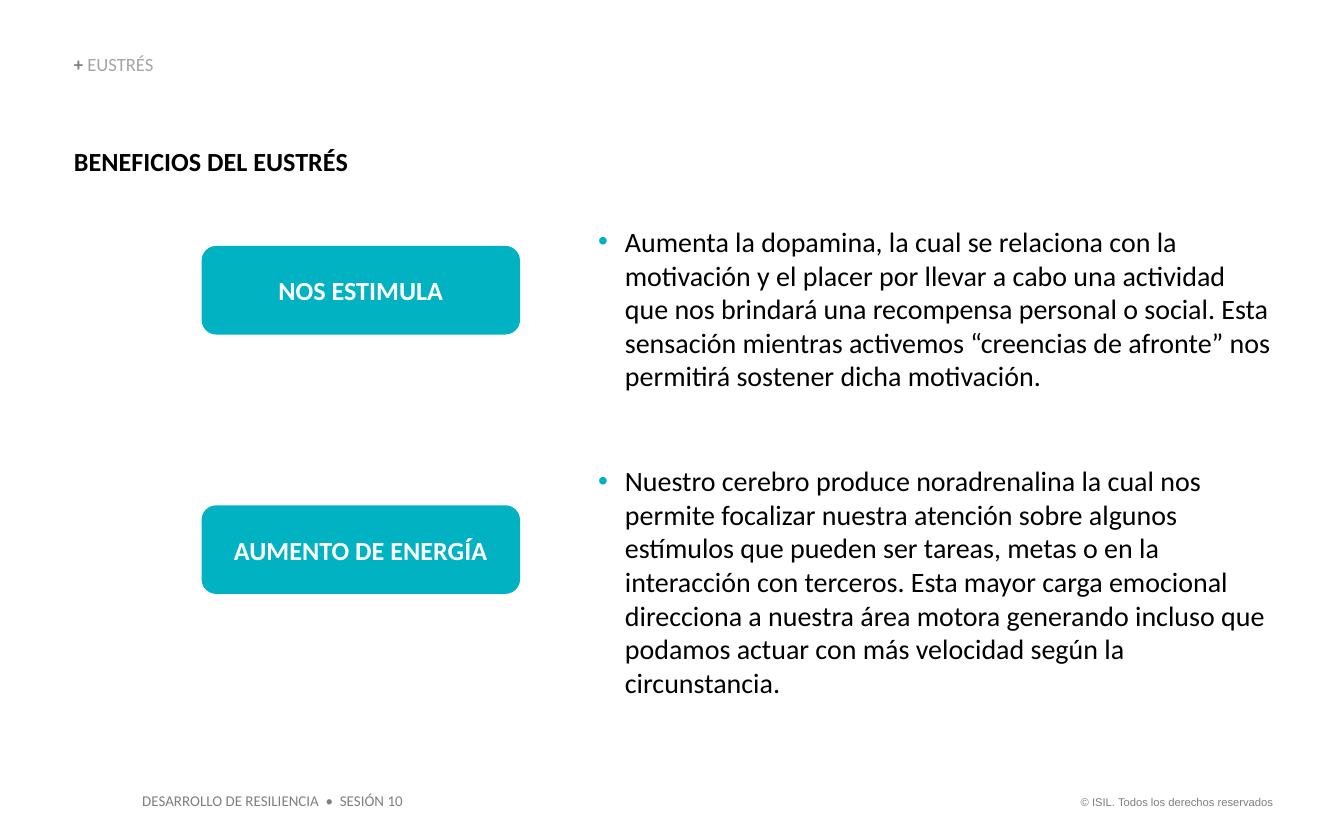
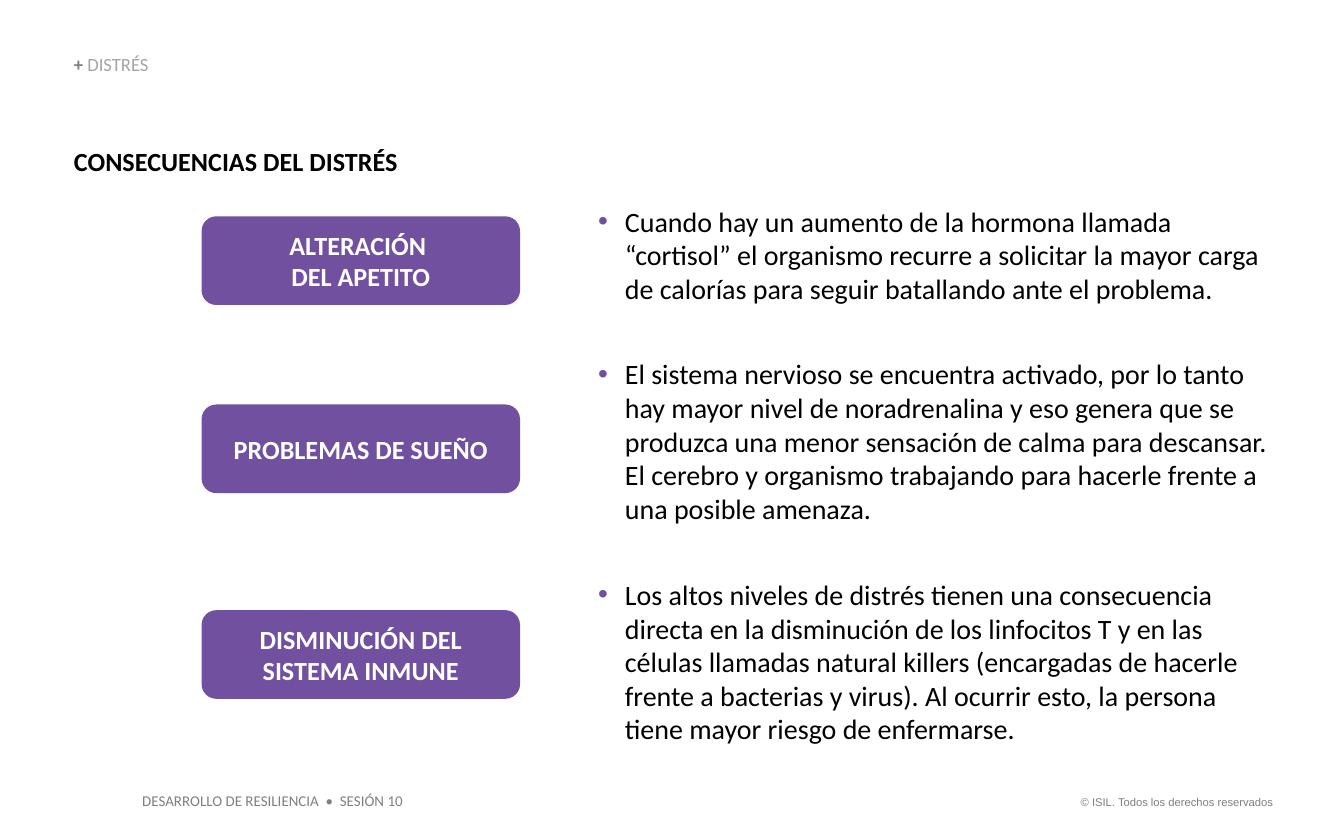
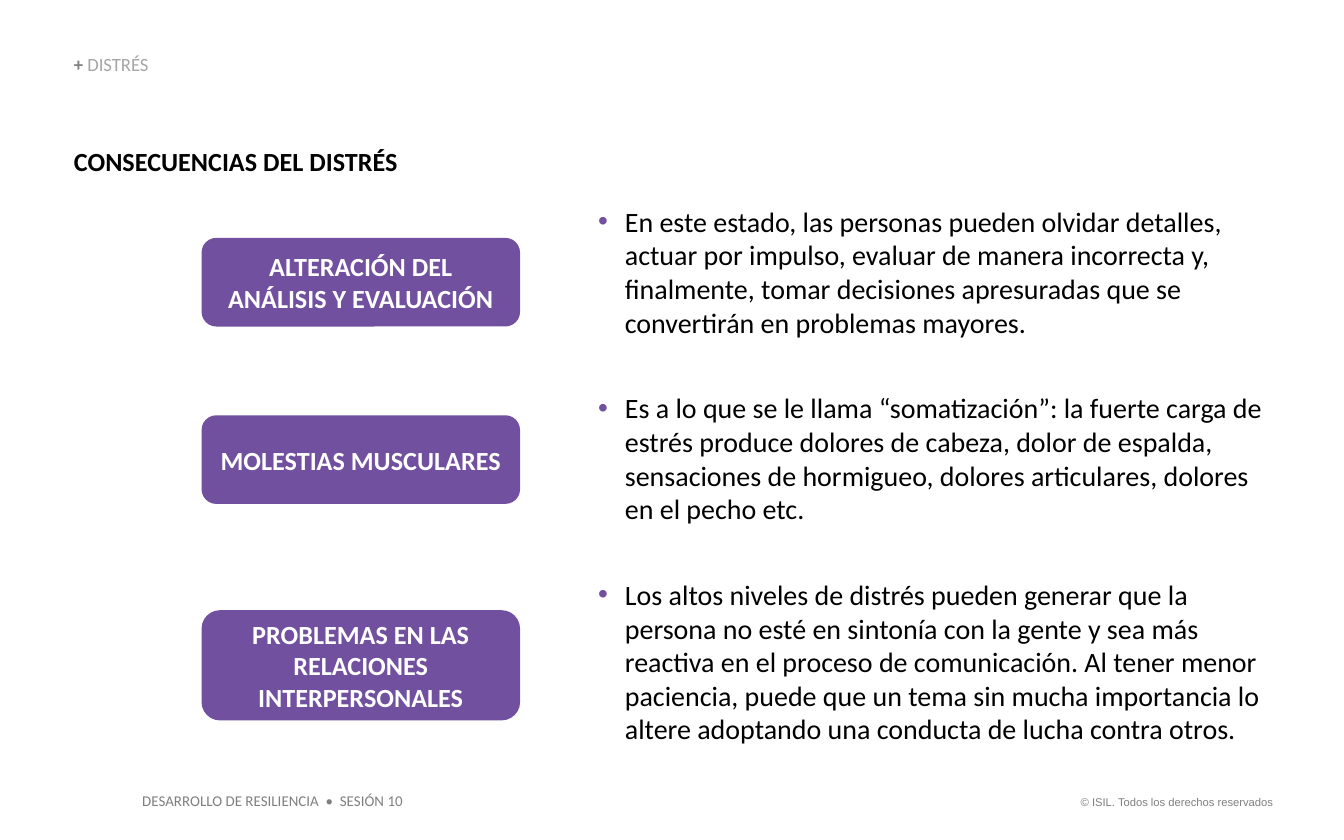
from pptx import Presentation
from pptx.dml.color import RGBColor
from pptx.enum.shapes import MSO_SHAPE as Shape
from pptx.enum.text import MSO_ANCHOR as Anchor, MSO_AUTO_SIZE as AutoSize, PP_ALIGN as Align
from pptx.oxml.ns import qn
from pptx.util import Inches, Pt
from lxml.etree import SubElement

COLORS = {
    "eustres": "00B2C2",
    "distres": "7150A0",
    "text": "000000",
    "white": "FFFFFF",
    "footer": "7F7F7F",
    "section": "A5A5A5",
}
FONT = "Calibri"

# Shared layout, in inches
MARGIN = 0.55
LABEL_LEFT, LABEL_WIDTH, LABEL_HEIGHT = 1.5, 2.37, 0.66
TEXT_LEFT, TEXT_WIDTH = 4.45, 5.04
TEXT_SIZE = 15
LINE_HEIGHT = TEXT_SIZE * 1.21 / 72
INDENT = 0.2

# Each row: label top, label height, label, lines of text, text
SLIDES = [
    {
        "theme": "eustres", "section": "EUSTRÉS", "title": "BENEFICIOS DEL EUSTRÉS",
        "top": 1.67, "gap": 0.52,
        "rows": [
            (1.83, LABEL_HEIGHT, "NOS ESTIMULA", 5,
             "Aumenta la dopamina, la cual se relaciona con la motivación y el placer por "
             "llevar a cabo una actividad que nos brindará una recompensa personal o social. "
             "Esta sensación mientras activemos “creencias de afronte” nos permitirá sostener "
             "dicha motivación."),
            (3.76, LABEL_HEIGHT, "AUMENTO DE ENERGÍA", 7,
             "Nuestro cerebro produce noradrenalina la cual nos permite focalizar nuestra "
             "atención sobre algunos estímulos que pueden ser tareas, metas o en la "
             "interacción con terceros. Esta mayor carga emocional direcciona a nuestra área "
             "motora generando incluso que podamos actuar con más velocidad según la "
             "circunstancia."),
        ],
    },
    {
        "theme": "distres", "section": "DISTRÉS", "title": "CONSECUENCIAS DEL DISTRÉS",
        "top": 1.52, "gap": 0.38,
        "rows": [
            (1.61, LABEL_HEIGHT, "ALTERACIÓN \nDEL APETITO", 3,
             "Cuando hay un aumento de la hormona llamada “cortisol” el organismo recurre a "
             "solicitar la mayor carga de calorías para seguir batallando ante el problema."),
            (3.01, LABEL_HEIGHT, "PROBLEMAS DE SUEÑO", 5,
             "El sistema nervioso se encuentra activado, por lo tanto hay mayor nivel de "
             "noradrenalina y eso genera que se produzca una menor sensación de calma para "
             "descansar. El cerebro y organismo trabajando para hacerle frente a una posible "
             "amenaza."),
            (4.54, LABEL_HEIGHT, "DISMINUCIÓN DEL SISTEMA INMUNE", 5,
             "Los altos niveles de distrés tienen una consecuencia directa en la disminución "
             "de los linfocitos T y en las células llamadas natural killers (encargadas de "
             "hacerle frente a bacterias y virus). Al ocurrir esto, la persona tiene mayor "
             "riesgo de enfermarse."),
        ],
    },
    {
        "theme": "distres", "section": "DISTRÉS", "title": "CONSECUENCIAS DEL DISTRÉS",
        "top": 1.52, "gap": 0.38,
        "rows": [
            (1.77, LABEL_HEIGHT, "ALTERACIÓN DEL ANÁLISIS Y EVALUACIÓN", 4,
             "En este estado, las personas pueden olvidar detalles, actuar por impulso, "
             "evaluar de manera incorrecta y, finalmente, tomar decisiones apresuradas que se "
             "convertirán en problemas mayores."),
            (3.09, LABEL_HEIGHT, "MOLESTIAS MUSCULARES", 4,
             "Es a lo que se le llama “somatización”: la fuerte carga de estrés produce "
             "dolores de cabeza, dolor de espalda, sensaciones de hormigueo, dolores "
             "articulares, dolores en el pecho etc."),
            (4.54, 0.82, "PROBLEMAS EN LAS RELACIONES INTERPERSONALES", 5,
             "Los altos niveles de distrés pueden generar que la persona no esté en sintonía "
             "con la gente y sea más reactiva en el proceso de comunicación. Al tener menor "
             "paciencia, puede que un tema sin mucha importancia lo altere adoptando una "
             "conducta de lucha contra otros."),
        ],
    },
]


def rgb(name):
    return RGBColor.from_string(COLORS[name])


def style_runs(paragraph, size, color, bold=False, font=FONT):
    for run in paragraph.runs:
        run.font.name = font
        run.font.size = Pt(size)
        run.font.bold = bold
        run.font.color.rgb = rgb(color)


def add_text(slide, box, text, size, color, bold=False, font=FONT, inset=(0, 0)):
    frame = slide.shapes.add_textbox(*map(Inches, box)).text_frame
    frame.word_wrap = True
    frame.auto_size = AutoSize.SHAPE_TO_FIT_TEXT
    frame.margin_left = frame.margin_right = Inches(inset[0])
    frame.margin_top = frame.margin_bottom = Inches(inset[1])
    paragraph = frame.paragraphs[0]
    paragraph.text = text
    style_runs(paragraph, size, color, bold, font)
    return frame


def add_footer(slide):
    rights = add_text(slide, (7.88, 5.87, 1.69, 0.2), "© ISIL. Todos los derechos reservados",
                      6, "footer", font="Arial", inset=(0.1, 0.05))
    rights.paragraphs[0].alignment = Align.RIGHT
    add_text(slide, (0.96, 5.84, 2.2, 0.24), "DESARROLLO DE RESILIENCIA  •  SESIÓN 10",
             8, "footer", inset=(0.1, 0.05))


def add_header(slide, section, title):
    header = add_text(slide, (MARGIN, 0.41, 3.32, 0.15), "+ ", 10, "footer", bold=True)
    header.vertical_anchor = Anchor.BOTTOM
    paragraph = header.paragraphs[0]
    paragraph.line_spacing = 0.9
    name = paragraph.add_run()
    name.text = section
    name.font.name = FONT
    name.font.size = Pt(10)
    name.font.bold = False
    name.font.color.rgb = rgb("section")
    add_text(slide, (MARGIN, 1.08, 8.12, 0.24), title, 14, "text", bold=True)


def add_label(slide, top, height, text, theme):
    label = slide.shapes.add_shape(Shape.ROUNDED_RECTANGLE, Inches(LABEL_LEFT), Inches(top),
                                   Inches(LABEL_WIDTH), Inches(height))
    label.shadow.inherit = False
    label.fill.solid()
    label.fill.fore_color.rgb = rgb(theme)
    label.line.fill.background()
    frame = label.text_frame
    frame.word_wrap = True
    frame.vertical_anchor = Anchor.MIDDLE
    paragraph = frame.paragraphs[0]
    paragraph.text = text
    paragraph.alignment = Align.CENTER
    style_runs(paragraph, 14, "white", bold=True)


def add_bullet_text(slide, top, height, text, theme):
    frame = add_text(slide, (TEXT_LEFT, top, TEXT_WIDTH, height), text, TEXT_SIZE, "text")
    properties = frame.paragraphs[0]._p.get_or_add_pPr()
    properties.set("marL", str(Inches(INDENT)))
    properties.set("indent", str(-Inches(INDENT)))
    bullet_color = SubElement(properties, qn("a:buClr"))
    SubElement(bullet_color, qn("a:srgbClr"), val=COLORS[theme])
    SubElement(properties, qn("a:buFont"), typeface="Arial")
    SubElement(properties, qn("a:buChar"), char="•")


def add_rows(slide, content):
    text_top = content["top"]
    for label_top, label_height, label, lines, text in content["rows"]:
        text_height = lines * LINE_HEIGHT
        add_label(slide, label_top, label_height, label, content["theme"])
        add_bullet_text(slide, text_top, text_height, text, content["theme"])
        text_top += text_height + content["gap"]


def main():
    deck = Presentation()
    deck.slide_width, deck.slide_height = Inches(10), Inches(6.25)
    for content in SLIDES:
        slide = deck.slides.add_slide(deck.slide_layouts[6])
        add_footer(slide)
        add_header(slide, content["section"], content["title"])
        add_rows(slide, content)
    deck.save("out.pptx")


if __name__ == "__main__":
    main()
